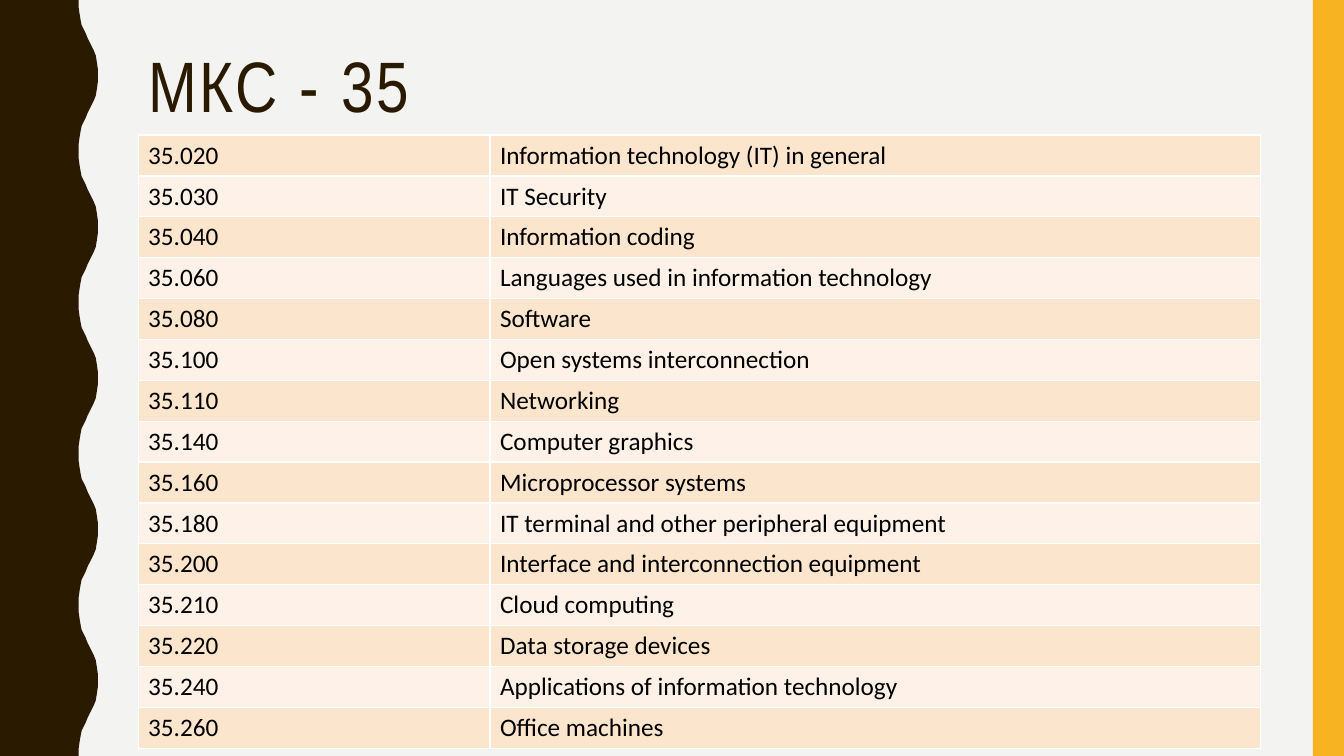
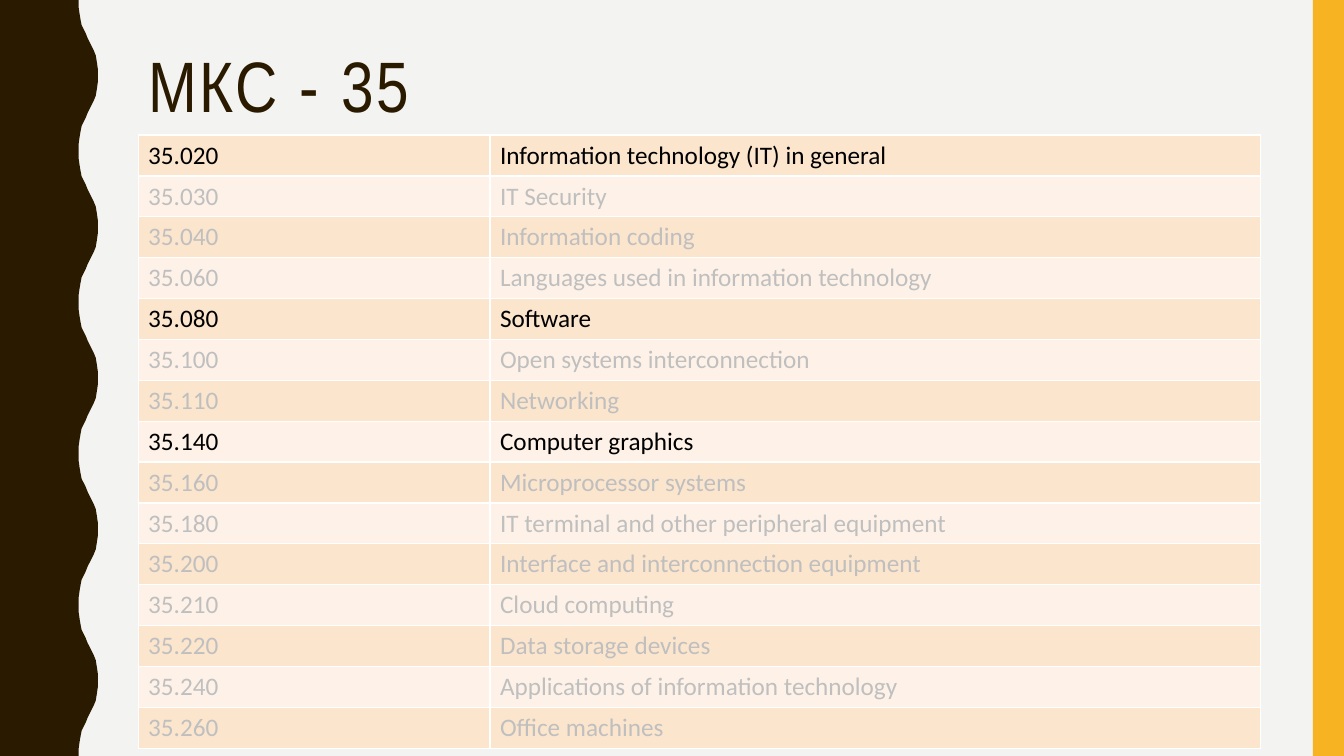
from dataclasses import dataclass

from lxml.etree import SubElement
from pptx import Presentation
from pptx.dml.color import RGBColor
from pptx.enum.shapes import MSO_SHAPE
from pptx.enum.text import MSO_ANCHOR, MSO_AUTO_SIZE, PP_ALIGN
from pptx.oxml.ns import qn
from pptx.util import Pt

PX = 9144  # EMU in one px, 100 px to the inch
WIDE, HIGH = 1333, 750


@dataclass(frozen=True)
class Theme:
    back: str = "F3F3F2"
    dark: str = "2A1A00"
    gold: str = "F8B323"
    bands: tuple = ("FCE5CD", "FEF2E8")
    rule: str = "FFFFFF"
    ink: str = "000000"
    faded: str = "BFBFBF"
    head_font: str = "Arial Narrow"
    body_font: str = "Calibri"
    head_size: int = 51
    body_size: int = 18


THEME = Theme()
TITLE = "МКС - 35"
LEFT, COLS = 137, (349, 764)
HEAD_TOP, HEAD_HIGH = 42, 93
GRID_TOP, GRID_HIGH = 134, 608
STRIPE = 31

# One half of a wave, from trough to crest
PERIOD = 150
RISE = ((78, 0), (78, 7), (79, 14), (80, 20), (81, 25), (83, 29), (85, 33),
        (87, 38), (89, 42), (91, 46), (93, 50), (95, 55), (96, 61), (97, 68),
        (97, 75))

TOPICS = (
    ("35.020", "Information technology (IT) in general"),
    ("35.030", "IT Security"),
    ("35.040", "Information coding"),
    ("35.060", "Languages used in information technology"),
    ("35.080", "Software"),
    ("35.100", "Open systems interconnection"),
    ("35.110", "Networking"),
    ("35.140", "Computer graphics"),
    ("35.160", "Microprocessor systems"),
    ("35.180", "IT terminal and other peripheral equipment"),
    ("35.200", "Interface and interconnection equipment"),
    ("35.210", "Cloud computing"),
    ("35.220", "Data storage devices"),
    ("35.240", "Applications of information technology"),
    ("35.260", "Office machines"),
)
ALL = {code for code, _ in TOPICS}
CHOSEN = {"35.020", "35.080", "35.140"}


def rgb(code):
    return RGBColor.from_string(code)


def px(*sizes):
    return [size * PX for size in sizes]


def write(frame, text, *, size, font, color, track=0, lead=None):
    """Fill a text frame with one left-aligned run; track is in points."""
    para = frame.paragraphs[0]
    para.alignment = PP_ALIGN.LEFT
    if lead:
        para.line_spacing = lead
    run = para.add_run()
    run.text = text
    run.font.size = Pt(size)
    run.font.name = font
    run.font.color.rgb = rgb(color)
    if track:
        run._r.get_or_add_rPr().set("spc", str(track * 100))


def paint(shape, color):
    shape.fill.solid()
    shape.fill.fore_color.rgb = rgb(color)
    shape.line.fill.background()
    shape.shadow.inherit = False


def add_wave(slide):
    fall = [(x, PERIOD - y) for x, y in reversed(RISE[:-1])]
    cycle = [*RISE, *fall[:-1]]
    edge = [(x, y + top) for top in range(0, HIGH, PERIOD) for x, y in cycle]
    pen = slide.shapes.build_freeform(0, 0, scale=PX)
    pen.add_line_segments([*edge, (RISE[0][0], HIGH), (0, HIGH)], close=True)
    wave = pen.convert_to_shape()
    paint(wave, THEME.dark)
    return wave


def add_stripe(slide):
    box = px(WIDE - STRIPE, 0, STRIPE, HIGH)
    stripe = slide.shapes.add_shape(MSO_SHAPE.RECTANGLE, *box)
    paint(stripe, THEME.gold)
    return stripe


def set_layout(layout, slide):
    """Place the title and move the side bands from slide to layout."""
    fill = layout.slide_master.background.fill
    fill.solid()
    fill.fore_color.rgb = rgb(THEME.back)
    title = layout.placeholders[0]
    title.left, title.top, title.width, title.height = px(
        LEFT, HEAD_TOP, sum(COLS), HEAD_HIGH)
    title.text_frame.vertical_anchor = MSO_ANCHOR.MIDDLE
    title.text_frame.auto_size = MSO_AUTO_SIZE.NONE
    for spot, band in enumerate((add_wave(slide), add_stripe(slide))):
        band.element.nvSpPr.cNvPr.set("id", str(90 + spot))
        layout.shapes.element.insert(2 + spot, band.element)


def add_rules(cell):
    props = cell._tc.get_or_add_tcPr()
    for side in ("a:lnL", "a:lnR", "a:lnT", "a:lnB"):
        line = SubElement(props, qn(side), w=str(Pt(1)))
        fill = SubElement(line, qn("a:solidFill"))
        SubElement(fill, qn("a:srgbClr"), val=THEME.rule)


def add_grid(slide, lit):
    """Add the table of topics; codes outside lit are faded."""
    box = px(LEFT, GRID_TOP, sum(COLS), GRID_HIGH)
    grid = slide.shapes.add_table(len(TOPICS), len(COLS), *box).table
    grid.first_row = grid.horz_banding = False
    for col, width in zip(grid.columns, px(*COLS)):
        col.width = width
    for row, topic in enumerate(TOPICS):
        color = THEME.ink if topic[0] in lit else THEME.faded
        for col, text in enumerate(topic):
            cell = grid.cell(row, col)
            add_rules(cell)
            cell.fill.solid()
            cell.fill.fore_color.rgb = rgb(THEME.bands[row % 2])
            write(cell.text_frame, text, size=THEME.body_size,
                  font=THEME.body_font, color=color)


def main():
    deck = Presentation()
    deck.slide_width, deck.slide_height = px(WIDE, HIGH)
    layout = deck.slide_layouts.get_by_name("Title Only")
    slides = [deck.slides.add_slide(layout) for _ in range(2)]
    set_layout(layout, slides[0])
    for slide, lit in zip(slides, (ALL, CHOSEN)):
        write(slide.shapes.title.text_frame, TITLE, size=THEME.head_size,
              font=THEME.head_font, color=THEME.dark, track=2, lead=0.9)
        add_grid(slide, lit)
    deck.save("out.pptx")


if __name__ == "__main__":
    main()
